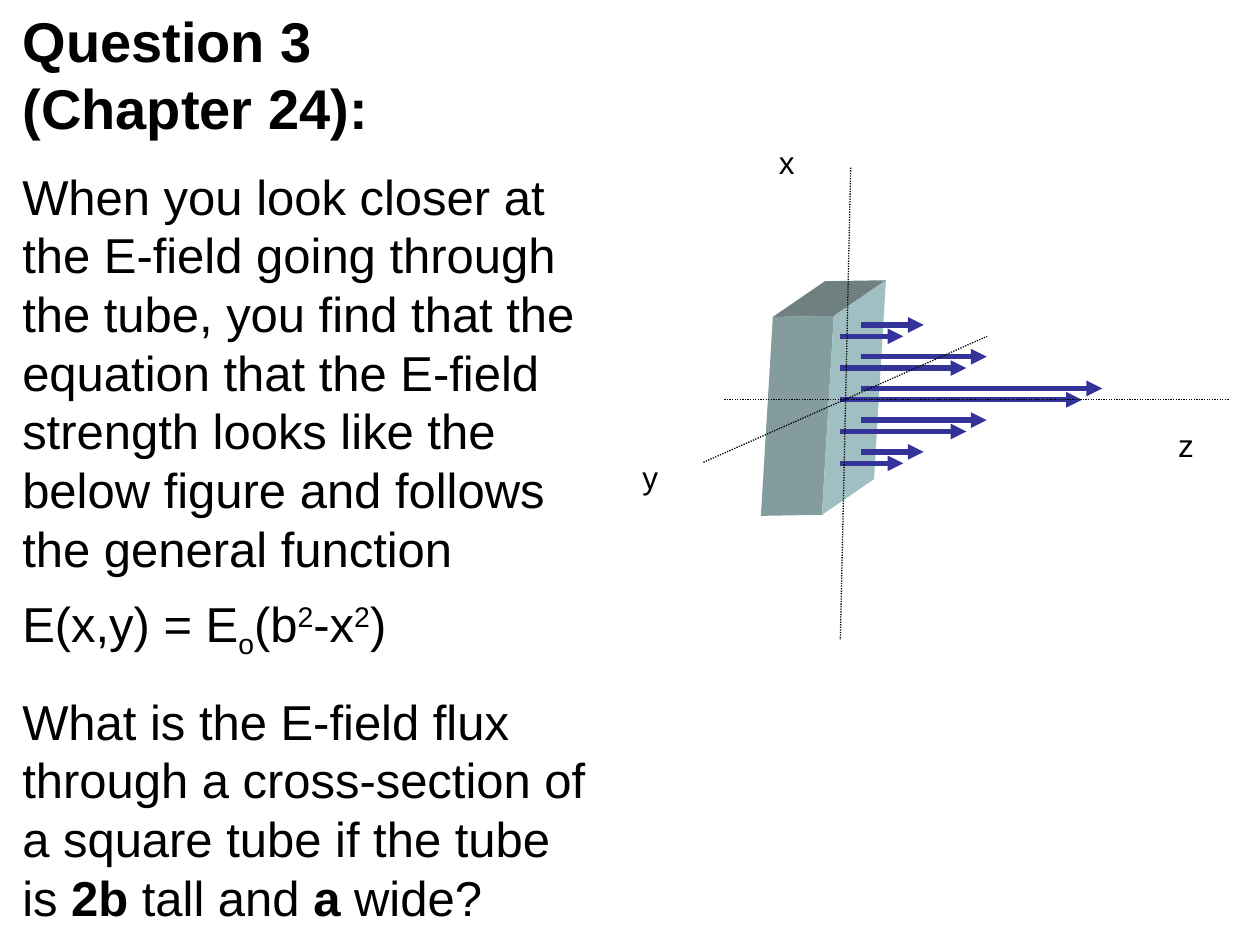
from dataclasses import dataclass

from lxml import etree
from pptx import Presentation
from pptx import util as u
from pptx.dml.color import RGBColor
from pptx.enum import dml, shapes, text
from pptx.oxml.ns import qn


@dataclass
class Theme:
    font: str = "Arial"
    ink: str = "000000"
    field: str = "333399"
    front: str = "849C9E"
    top: str = "708080"
    side: str = "A0BFC2"
    head: int = 32
    body: int = 28
    label: int = 18
    lead: float = 1.197  # line pitch as a multiple of type size


class Page:
    """Holds the theme and the slide being drawn."""

    def __init__(self, slide, theme):
        self.slide, self.theme = slide, theme

    def style(self, para, size, bold=None):
        font = para.font
        font.name, font.size, font.bold = self.theme.font, u.Pt(size), bold
        font.color.rgb = RGBColor.from_string(self.theme.ink)
        para.alignment = text.PP_ALIGN.LEFT

    def place(self, shape, left, top, width, height):
        shape.left, shape.top = u.Cm(left), u.Cm(top)
        shape.width, shape.height = u.Cm(width), u.Cm(height)
        frame = shape.text_frame
        frame.word_wrap = True
        frame.auto_size = text.MSO_AUTO_SIZE.NONE
        frame.vertical_anchor = text.MSO_ANCHOR.TOP
        return frame

    def title(self, words, *box):
        frame = self.place(self.slide.shapes.title, *box)
        frame.text = words
        para = frame.paragraphs[0]
        self.style(para, self.theme.head, True)
        para.space_before = u.Pt(0)
        para.line_spacing = u.Pt(self.theme.head * self.theme.lead)

    def box(self, *box):
        return self.place(self.slide.shapes.add_textbox(0, 0, 0, 0), *box)

    def body(self, paras, *box):
        """Each paragraph is (space before, [(words, mark), ...])."""
        frame = self.box(*box)
        for i, (gap, runs) in enumerate(paras):
            para = frame.add_paragraph() if i else frame.paragraphs[0]
            self.style(para, self.theme.body)
            para.space_before = u.Pt(gap)
            para.line_spacing = u.Pt(self.theme.body * self.theme.lead)
            for words, mark in runs:
                run = para.add_run()
                run.text = words
                if mark == "bold":
                    run.font.bold = True
                elif mark:
                    shift = {"sub": "-25000", "sup": "30000"}[mark]
                    run.font._element.set("baseline", shift)

    def label(self, words, *box):
        para = self.box(*box).paragraphs[0]
        para.text = words
        self.style(para, self.theme.label)

    def face(self, points, color):
        pts = [(u.Cm(x), u.Cm(y)) for x, y in points]
        form = self.slide.shapes.build_freeform(*pts[0], scale=1.0)
        form.add_line_segments(pts[1:], close=True)
        shape = form.convert_to_shape()
        shape.shadow.inherit = False
        shape.fill.solid()
        shape.fill.fore_color.rgb = RGBColor.from_string(color)
        shape.line.fill.background()

    def line(self, x1, y1, x2, y2, color, width):
        link = self.slide.shapes.add_connector(
            shapes.MSO_CONNECTOR.STRAIGHT, u.Cm(x1), u.Cm(y1), u.Cm(x2), u.Cm(y2))
        link.line.color.rgb = RGBColor.from_string(color)
        link.line.width = u.Pt(width)
        etree.SubElement(link._element.spPr, qn("a:effectLst"))
        return link.line

    def axis(self, *ends):
        self.line(*ends, self.theme.ink, 0.75).dash_style = dml.MSO_LINE.ROUND_DOT

    def arrow(self, x, y, length):
        line = self.line(x, y, x + length, y, self.theme.field, 3)
        etree.SubElement(line._get_or_add_ln(), qn("a:tailEnd"), type="triangle")


def move(point, *steps):
    return tuple(sum(part) for part in zip(point, *steps))


def main():
    deck = Presentation()
    deck.slide_width, deck.slide_height = u.Cm(25.4), u.Cm(19.05)
    theme = Theme()
    page = Page(deck.slides.add_slide(deck.slide_layouts[5]), theme)

    # Question text
    page.title("Question 3\v(Chapter 24):", 0.2, 0, 12.06, 3)
    page.body([
        (0, [("When you look closer at the E-field going through the tube, "
              "you find that the equation that the E-field strength looks like "
              "the below figure and follows the general function", "")]),
        (14, [("E(x,y) = E", ""), ("o", "sub"), ("(b", ""), ("2", "sup"),
              ("-x", ""), ("2", "sup"), (")", "")]),
        (18, [("What is the E-field flux through a cross-section of a square "
               "tube if the tube is ", ""), ("2b", "bold"), (" tall and ", ""),
              ("a ", "bold"), ("wide?", "")]),
    ], 0.2, 3.23, 12.06, 15.75)

    # Tube section, spanned by three edges from its near top corner
    near = (15.58, 6.39)
    wide, tall, deep = (1.23, -0.02), (-0.24, 4.01), (1.05, -0.72)
    right = move(near, wide)
    for start, a, b, color in ((near, wide, tall, theme.front),
                               (near, wide, deep, theme.top),
                               (right, deep, tall, theme.side)):
        page.face([start, move(start, a), move(start, a, b), move(start, b)], color)

    # Field arrows: a back row and a front row, longest in the middle
    for left, top in ((17.35, 6.55), (16.94, 6.78)):
        for i, length in enumerate((1.27, 2.54, 4.87, 2.54, 1.27)):
            page.arrow(left, top + 0.64 * i, length)

    # Axes and their names
    page.axis(14.6, 8.05, 24.77, 8.05)
    page.axis(17.15, 3.38, 16.94, 12.9)
    page.axis(14.18, 9.32, 19.9, 6.78)
    for name, left, top, width in (("z", 23.5, 8.47, 0.85),
                                   ("x", 15.45, 2.75, 1.7),
                                   ("y", 12.7, 9.1, 1.48)):
        page.label(name, left, top, width, 1.02)

    deck.save("out.pptx")


if __name__ == "__main__":
    main()
